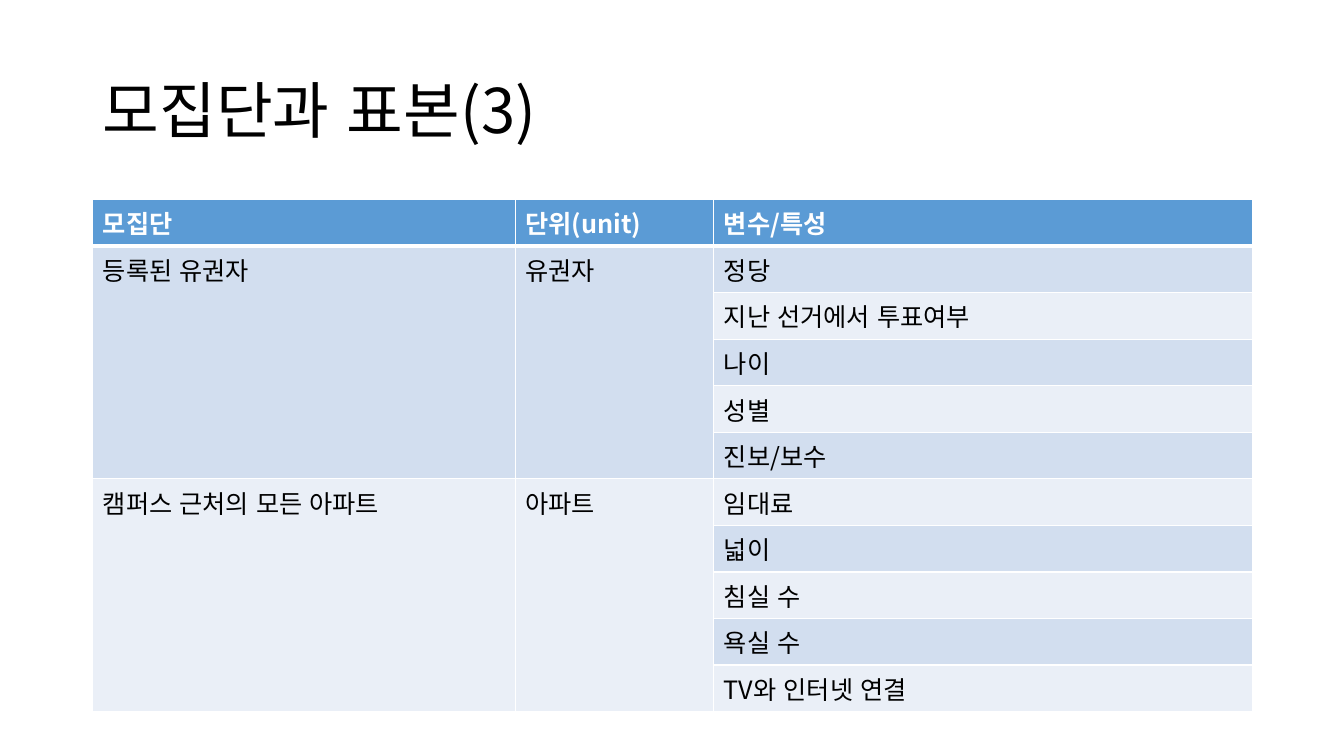
from lxml import etree
from pptx import Presentation
from pptx.dml.color import RGBColor
from pptx.enum.lang import MSO_LANGUAGE_ID
from pptx.enum.text import MSO_ANCHOR
from pptx.oxml.ns import qn
from pptx.util import Inches, Pt

MIDDLE = MSO_ANCHOR.MIDDLE
KOREAN = MSO_LANGUAGE_ID.KOREAN
FONT = "Noto Sans CJK KR"
BLACK, WHITE = "000000", "FFFFFF"
HEADER_FILL = "5B9BD5"
BAND_FILLS = ("D2DEEF", "EAEFF7")

LEFT, WIDTH = 0.92, 11.5
COLUMN_WIDTHS = (4.19, 1.97, 5.34)
TABLE_HEIGHT = 5.08
HEADINGS = ("모집단", "단위(unit)", "변수/특성")
POPULATIONS = (
    ("등록된 유권자", "유권자",
     ("정당", "지난 선거에서 투표여부", "나이", "성별", "진보/보수")),
    ("캠퍼스 근처의 모든 아파트", "아파트",
     ("임대료", "넓이", "침실 수", "욕실 수", "TV와 인터넷 연결")),
)


def rgb(value):
    return RGBColor.from_string(value)


def write_text(frame, text, size=18, color=BLACK, bold=False, line_spacing=None):
    paragraph = frame.paragraphs[0]
    paragraph.line_spacing = line_spacing
    run = paragraph.add_run()
    run.text = text
    font = run.font
    font.name, font.size, font.bold = FONT, Pt(size), bold
    font.language_id = KOREAN
    font.color.rgb = rgb(color)
    # East Asian glyphs take their typeface from a separate element.
    etree.SubElement(run._r.get_or_add_rPr(), qn("a:ea"), typeface=FONT)


def set_borders(cell, top=1, bottom=1):
    """Draw white cell edges; widths are in points."""
    properties = cell._tc.get_or_add_tcPr()
    edges = (("L", 1), ("R", 1), ("T", top), ("B", bottom))
    for position, (side, width) in enumerate(edges):
        line = etree.Element(qn(f"a:ln{side}"), w=str(Pt(width)))
        fill = etree.SubElement(line, qn("a:solidFill"))
        etree.SubElement(fill, qn("a:srgbClr"), val=WHITE)
        properties.insert(position, line)


def style_cell(cell, fill, **borders):
    cell.fill.solid()
    cell.fill.fore_color.rgb = rgb(fill)
    set_borders(cell, **borders)


def add_title(slide, text):
    box = slide.shapes.add_textbox(
        Inches(LEFT), Inches(0.4), Inches(WIDTH), Inches(1.45))
    frame = box.text_frame
    frame.word_wrap = True
    frame.vertical_anchor = MIDDLE
    write_text(frame, text, size=44, line_spacing=0.9)


def add_population_table(slide):
    row_count = 1 + sum(len(variables) for _, _, variables in POPULATIONS)
    table = slide.shapes.add_table(
        row_count, len(HEADINGS), Inches(LEFT), Inches(1.98),
        Inches(WIDTH), Inches(TABLE_HEIGHT)).table
    table.horz_banding = False
    for column, width in zip(table.columns, COLUMN_WIDTHS):
        column.width = Inches(width)

    for index, row in enumerate(table.rows):
        row.height = Inches(TABLE_HEIGHT / row_count)
        for cell in row.cells:
            if index == 0:
                style_cell(cell, HEADER_FILL, bottom=3)
            else:
                style_cell(cell, BAND_FILLS[(index - 1) % 2],
                           top=3 if index == 1 else 1)

    for column, heading in enumerate(HEADINGS):
        write_text(table.cell(0, column).text_frame, heading,
                   color=WHITE, bold=True)

    first = 1
    for population, unit, variables in POPULATIONS:
        last = first + len(variables) - 1
        for column, text in enumerate((population, unit)):
            cell = table.cell(first, column)
            cell.merge(table.cell(last, column))
            write_text(cell.text_frame, text)
        for row, variable in enumerate(variables, first):
            write_text(table.cell(row, 2).text_frame, variable)
        first = last + 1


def main():
    presentation = Presentation()
    presentation.slide_width = Inches(13.33)
    presentation.slide_height = Inches(7.5)
    slide = presentation.slides.add_slide(presentation.slide_layouts[6])
    add_title(slide, "모집단과 표본(3)")
    add_population_table(slide)
    presentation.save("out.pptx")


if __name__ == "__main__":
    main()
